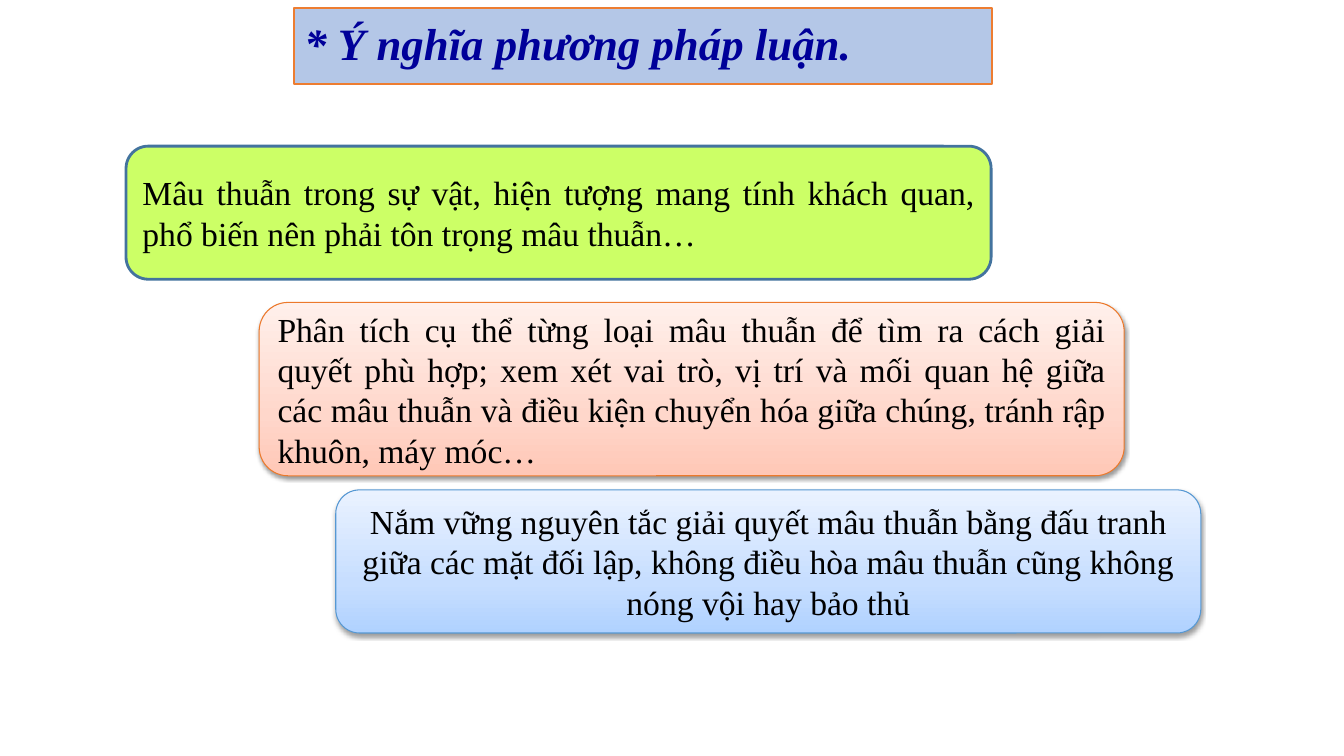
from copy import deepcopy

from pptx import Presentation
from pptx import util as u
from pptx.dml.color import RGBColor
from pptx.enum import shapes, text
from pptx.oxml import parse_xml
from pptx.oxml.ns import nsdecls, qn

WIDTH, HEIGHT = 13.33, 7.5
BOX_WIDTH = 8.58
FONT = "Times New Roman"
STOP_POSITIONS = (0, 0.35, 1)

TITLE_FORMAT = {"size": u.Pt(32), "bold": True, "italic": True}
BODY_FORMAT = {"size": u.Pt(24)}

# left, top, height, fill (one colour or three gradient stops), line, line width, alignment, wording
LESSONS = [
    (1.25, 1.45, 1.32, "CCFF66", "43739E", 2, text.PP_ALIGN.JUSTIFY,
     "Mâu thuẫn trong sự vật, hiện tượng mang tính khách quan, phổ biến nên "
     "phải tôn trọng mâu thuẫn…"),
    (2.57, 3, 1.72, ("FFC7B6", "FFD7CB", "FFF0EB"), "EC792B", 0.75, text.PP_ALIGN.JUSTIFY,
     "Phân tích cụ thể từng loại mâu thuẫn để tìm ra cách giải quyết phù hợp; "
     "xem xét vai trò, vị trí và mối quan hệ giữa các mâu thuẫn và điều kiện "
     "chuyển hóa giữa chúng, tránh rập khuôn, máy móc…"),
    (3.33, 4.86, 1.42, ("B0D2FF", "C7DEFF", "EAF2FF"), "5698D3", 0.75, text.PP_ALIGN.CENTER,
     "Nắm vững nguyên tắc giải quyết mâu thuẫn bằng đấu tranh giữa các mặt đối "
     "lập, không điều hòa mâu thuẫn cũng không nóng vội hay bảo thủ"),
]


def color(value):
    return RGBColor.from_string(value)


def fill_gradient(fill, colors):
    """Fill from bottom to top with three colours."""
    fill.gradient()
    fill.gradient_angle = 90
    first_stop = fill._fill._gradFill.gsLst[0]
    first_stop.addnext(deepcopy(first_stop))
    for stop, position, value in zip(fill.gradient_stops, STOP_POSITIONS, colors):
        stop.position = position
        stop.color.rgb = color(value)


def add_shadow(box):
    effects = box._element.spPr.find(qn("a:effectLst"))
    effects.append(parse_xml(
        f'<a:outerShdw {nsdecls("a")} blurRad="40000" dist="20000" dir="5400000" rotWithShape="0">'
        '<a:srgbClr val="000000"><a:alpha val="38000"/></a:srgbClr></a:outerShdw>'))


def add_box(slide, kind, place, fill, line, line_width):
    box = slide.shapes.add_shape(kind, *map(u.Inches, place))
    box.shadow.inherit = False
    if isinstance(fill, str):
        box.fill.solid()
        box.fill.fore_color.rgb = color(fill)
    else:
        fill_gradient(box.fill, fill)
        add_shadow(box)
    box.line.color.rgb = color(line)
    box.line.width = u.Pt(line_width)
    return box


def write(box, wording, alignment, font_color, font_format, spacing=1.0):
    frame = box.text_frame
    frame.word_wrap = True
    frame.vertical_anchor = text.MSO_ANCHOR.MIDDLE
    paragraph = frame.paragraphs[0]
    paragraph.alignment = alignment
    paragraph.line_spacing = spacing
    run = paragraph.add_run()
    run.text = wording
    run.font.color.rgb = color(font_color)
    for name, value in {"name": FONT, **font_format}.items():
        setattr(run.font, name, value)


def main():
    deck = Presentation()
    deck.slide_width, deck.slide_height = u.Inches(WIDTH), u.Inches(HEIGHT)
    slide = deck.slides.add_slide(deck.slide_layouts[6])

    title = add_box(slide, shapes.MSO_SHAPE.RECTANGLE, (2.92, 0.08, 6.92, 0.75),
                    "B4C7E7", "ED7D31", 1.5)
    write(title, "* Ý nghĩa phương pháp luận.", text.PP_ALIGN.LEFT,
          "000099", TITLE_FORMAT, 0.9)

    for left, top, height, fill, line, line_width, alignment, wording in LESSONS:
        lesson = add_box(slide, shapes.MSO_SHAPE.ROUNDED_RECTANGLE,
                         (left, top, BOX_WIDTH, height), fill, line, line_width)
        write(lesson, wording, alignment, "000000", BODY_FORMAT)

    deck.save("out.pptx")


if __name__ == "__main__":
    main()
